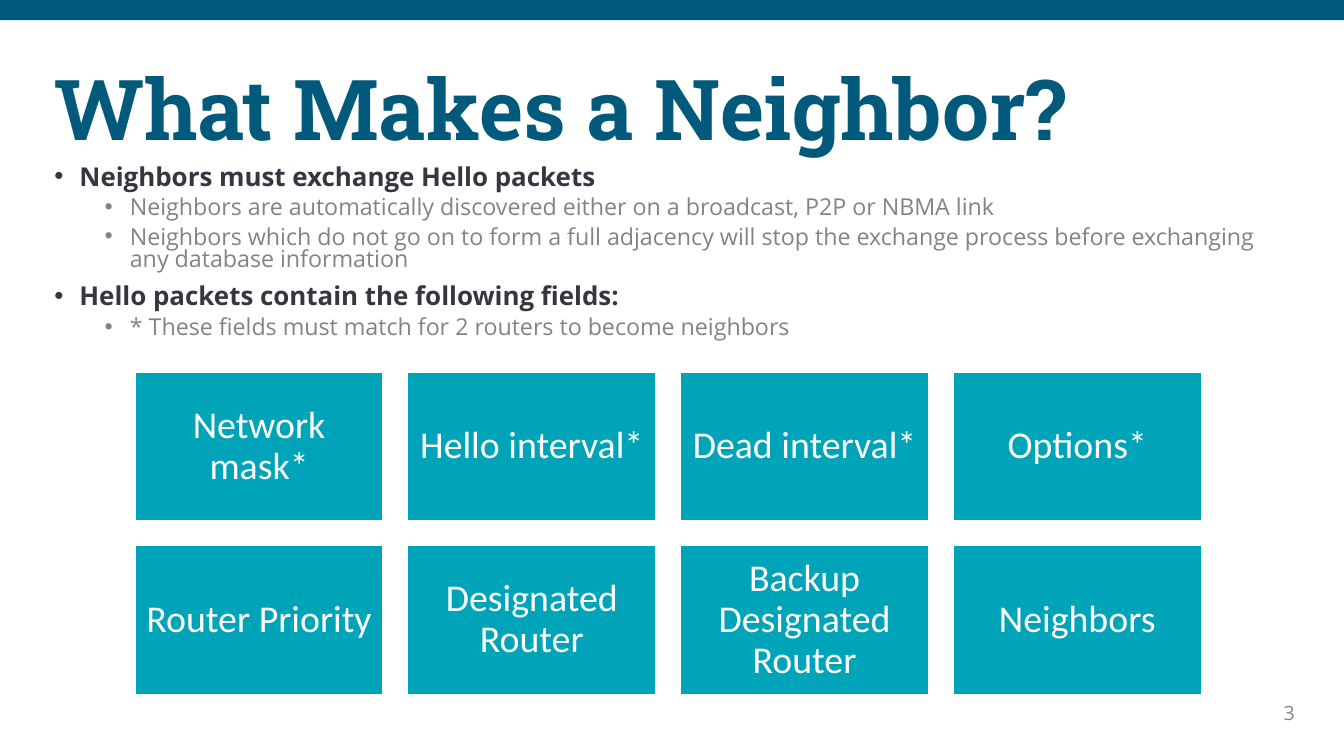
"""Build the slide on what makes routers neighbors."""
from lxml import etree
from pptx import Presentation
from pptx.dml.color import RGBColor
from pptx.enum.shapes import MSO_SHAPE
from pptx.enum.text import MSO_ANCHOR, PP_ALIGN
from pptx.oxml.ns import qn
from pptx.util import Inches, Pt

RECT = MSO_SHAPE.RECTANGLE
TOP, MIDDLE = MSO_ANCHOR.TOP, MSO_ANCHOR.MIDDLE
LEFT, CENTER, RIGHT = PP_ALIGN.LEFT, PP_ALIGN.CENTER, PP_ALIGN.RIGHT


def rgb(color):
    return RGBColor.from_string(color)


def write(p, text, font, size, color, bold=False, align=LEFT, spacing=1.0):
    p.alignment = align
    p.line_spacing = spacing
    r = p.add_run()
    r.text = text
    r.font.name = font
    r.font.size = Pt(size)
    r.font.bold = bold
    r.font.color.rgb = rgb(color)


prs = Presentation()
prs.slide_width, prs.slide_height = Inches(13.33), Inches(7.5)
s = prs.slides.add_slide(prs.slide_layouts[6])

bar = s.shapes.add_shape(RECT, 0, 0, prs.slide_width, Inches(0.2))
bar.shadow.inherit = False
bar.fill.solid()
bar.fill.fore_color.rgb = rgb("005A7C")
bar.line.fill.background()

frames = []
for x, y, w, h, anchor in [
    (0.44, 0.4, 12.73, 1.45, MIDDLE),
    (0.44, 1.6, 12.36, 1.91, TOP),
    (12.3, 6.9, 0.64, 0.34, TOP),
]:
    tf = s.shapes.add_textbox(Inches(x), Inches(y), Inches(w), Inches(h)).text_frame
    tf.word_wrap = True
    tf.vertical_anchor = anchor
    frames.append(tf)
title, body, number = frames

write(title.paragraphs[0], "What Makes a Neighbor?", "Roboto Slab", 60, "015A7C",
      bold=True, spacing=0.9)
write(number.paragraphs[0], "3", "Open Sans", 14, "858891", align=RIGHT)

points = [
    (0, "Neighbors must exchange Hello packets"),
    (1, "Neighbors are automatically discovered either on a broadcast, P2P or NBMA link"),
    (1, "Neighbors which do not go on to form a full adjacency will stop the exchange "
        "process before exchanging any database information"),
    (0, "Hello packets contain the following fields:"),
    (1, "* These fields must match for 2 routers to become neighbors"),
]
levels = [(0.25, 10, 18.5, "343741", True), (0.75, 5, 16.6, "838383", False)]
for i, (level, text) in enumerate(points):
    indent, before, size, color, bold = levels[level]
    p = body.add_paragraph() if i else body.paragraphs[0]
    p.level = level
    p.space_before = Pt(before if i else 0)
    pPr = p._p.get_or_add_pPr()
    pPr.set("marL", str(Inches(indent)))
    pPr.set("indent", str(Inches(-0.25)))
    etree.SubElement(pPr, qn("a:buFont")).set("typeface", "Arial")
    etree.SubElement(pPr, qn("a:buChar")).set("char", "•")
    write(p, text, "Open Sans", size, color, bold=bold, spacing=0.8)

fields = [
    "Network mask*", "Hello interval*", "Dead interval*", "Options*",
    "Router Priority", "Designated Router", "Backup Designated Router", "Neighbors",
]
for i, field in enumerate(fields):
    row, col = divmod(i, 4)
    sp = s.shapes.add_shape(RECT, Inches(1.34 + 2.705 * col), Inches(3.69 + 1.72 * row),
                            Inches(2.46), Inches(1.48))
    sp.shadow.inherit = False
    sp.fill.solid()
    sp.fill.fore_color.rgb = rgb("00A4B8")
    sp.line.color.rgb = rgb("FFFFFF")
    sp.line.width = Pt(1)
    tf = sp.text_frame
    tf.word_wrap = True
    tf.vertical_anchor = MIDDLE
    tf.margin_left = tf.margin_right = tf.margin_top = tf.margin_bottom = Inches(0.11)
    write(tf.paragraphs[0], field, "Calibri", 27, "FFFFFF", align=CENTER, spacing=0.9)

prs.save("out.pptx")
